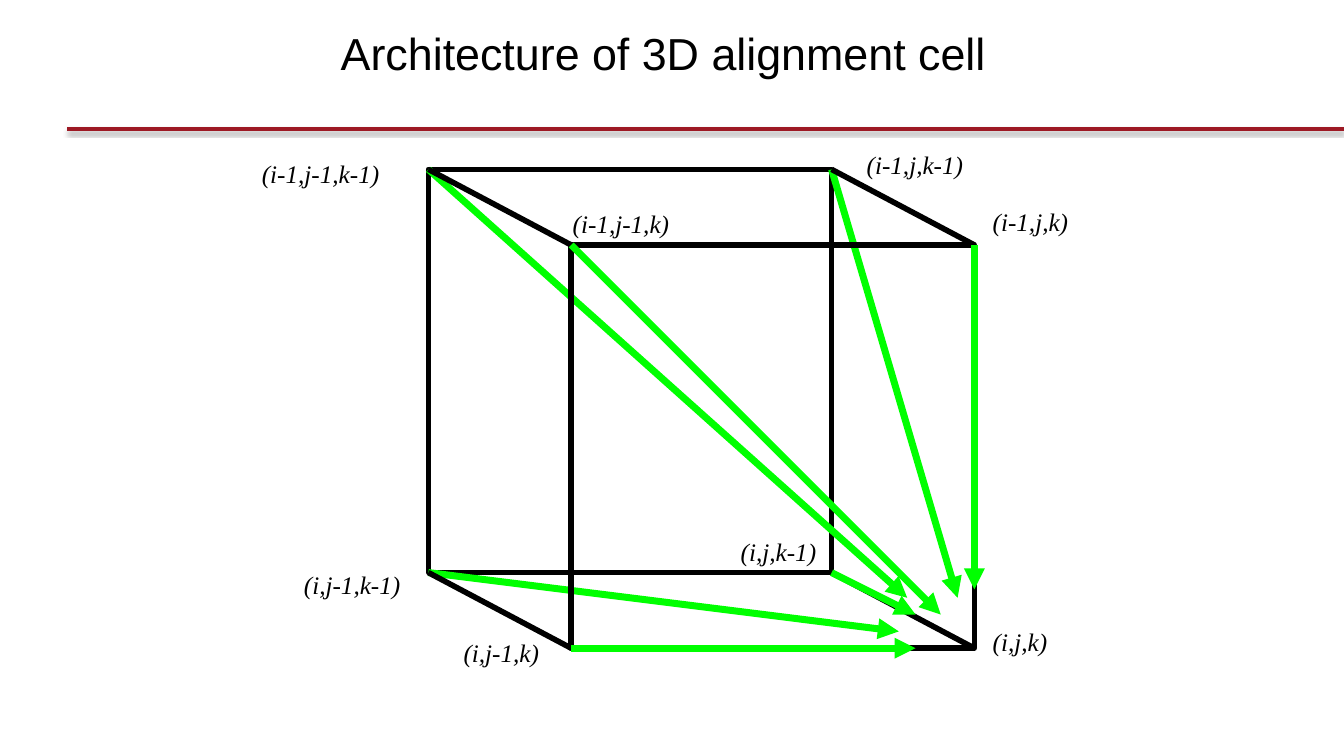
from lxml import etree
from pptx import Presentation
from pptx import util as u
from pptx.dml.color import RGBColor
from pptx.enum import shapes, text
from pptx.oxml import parse_xml
from pptx.oxml.ns import nsdecls, qn

COLORS = {"black": "000000", "green": "00FF00", "rule": "9D1924"}
TITLE_FORMAT = {"name": "Arial", "size": u.Pt(32), "bold": False}
LABEL_FORMAT = {"name": "Times New Roman", "size": u.Pt(18), "italic": True}
SHADOW = (
    f'<a:effectLst {nsdecls("a")}>'
    '<a:outerShdw blurRad="39370" dist="20320" dir="5400000" rotWithShape="0">'
    '<a:srgbClr val="000000"><a:alpha val="38000"/></a:srgbClr>'
    "</a:outerShdw></a:effectLst>"
)


class CellSlide:
    """Holds the slide and draws its elements; lengths are in points."""

    def __init__(self, presentation):
        self.slide = presentation.slides.add_slide(presentation.slide_layouts[5])
        self.shapes = self.slide.shapes

    def fill_text(self, shape, content, formats):
        paragraph = shape.text_frame.paragraphs[0]
        run = paragraph.add_run()
        run.text = content
        for name, value in formats.items():
            setattr(run.font, name, value)
        run.font.color.rgb = RGBColor.from_string(COLORS["black"])
        return paragraph

    def title(self, content, left, top, width, height):
        title = self.shapes.title
        box = {"left": left, "top": top, "width": width, "height": height}
        for name, value in box.items():
            setattr(title, name, u.Pt(value))
        frame = title.text_frame
        for side in ("left", "top", "right", "bottom"):
            setattr(frame, f"margin_{side}", 0)
        frame.vertical_anchor = text.MSO_ANCHOR.MIDDLE
        paragraph = self.fill_text(title, content, TITLE_FORMAT)
        paragraph.alignment = text.PP_ALIGN.CENTER
        paragraph.line_spacing = 0.9

    def line(self, start, end, color="black", width=4, arrow=False, shadow=False):
        points = [u.Pt(value) for value in (*start, *end)]
        line = self.shapes.add_connector(shapes.MSO_CONNECTOR.STRAIGHT, *points)
        line.line.color.rgb = RGBColor.from_string(COLORS[color])
        line.line.width = u.Pt(width)
        properties = line._element.spPr
        if arrow:
            etree.SubElement(properties.find(qn("a:ln")), qn("a:tailEnd"), type="triangle")
        if shadow:
            properties.append(parse_xml(SHADOW))
        else:
            etree.SubElement(properties, qn("a:effectLst"))

    def arrow(self, start, end):
        self.line(start, end, "green", 5, arrow=True)

    def square(self, left, top, side):
        square = self.shapes.add_shape(
            shapes.MSO_SHAPE.RECTANGLE, u.Pt(left), u.Pt(top), u.Pt(side), u.Pt(side))
        square.shadow.inherit = False
        square.fill.background()
        square.line.color.rgb = RGBColor.from_string(COLORS["black"])
        square.line.width = u.Pt(4)

    def label(self, content, left, top, width):
        box = self.shapes.add_textbox(u.Pt(left), u.Pt(top), u.Pt(width), u.Pt(28.8))
        box.text_frame.word_wrap = True
        box.text_frame.auto_size = text.MSO_AUTO_SIZE.SHAPE_TO_FIT_TEXT
        self.fill_text(box, content, LABEL_FORMAT)


def corners(left, top, side):
    """Top left, top right, bottom left and bottom right of a square."""
    return [(x, y) for y in (top, top + side) for x in (left, left + side)]


def main():
    presentation = Presentation()
    presentation.slide_width, presentation.slide_height = u.Pt(960), u.Pt(540)
    cell = CellSlide(presentation)

    # Title and rule
    cell.title("Architecture of 3D alignment cell", 192, 15, 564, 50.4)
    cell.line((48, 92.4), (960, 92.4), "rule", 3, shadow=True)

    # Cube geometry
    side = 288
    back, front = (306, 121), (408, 175)
    back_corners, front_corners = corners(*back, side), corners(*front, side)
    back_top_left, back_top_right, back_bottom_left, back_bottom_right = back_corners
    front_top_left, front_top_right, front_bottom_left, _ = front_corners

    # Back face and the arrows behind the front face
    cell.square(*back, side)
    cell.arrow(back_top_right, (684, 427))
    cell.arrow(back_top_left, (648, 427))
    cell.arrow(back_bottom_left, (642, 451))

    # Front face and the edges joining both faces
    cell.square(*front, side)
    for start, end in zip(back_corners, front_corners):
        cell.line(start, end)

    # Arrows in front
    cell.arrow(back_bottom_right, (654, 439))
    cell.arrow(front_bottom_left, (654, 463))
    cell.arrow(front_top_right, (696, 421))
    cell.arrow(front_top_left, (672, 439))

    # Corner labels
    for content, left, top, width in (
        ("(i-1,j-1,k-1)", 180, 109.4, 108),
        ("(i,j-1,k-1)", 210, 403, 90),
        ("(i,j-1,k)", 324, 451.4, 90),
        ("(i-1,j-1,k)", 402, 145.4, 108),
        ("(i-1,j,k)", 702, 144, 108),
        ("(i,j,k)", 702, 444.2, 108),
        ("(i-1,j,k-1)", 612, 103, 108),
        ("(i,j,k-1)", 522, 379.4, 90),
    ):
        cell.label(content, left, top, width)

    presentation.save("out.pptx")


if __name__ == "__main__":
    main()
